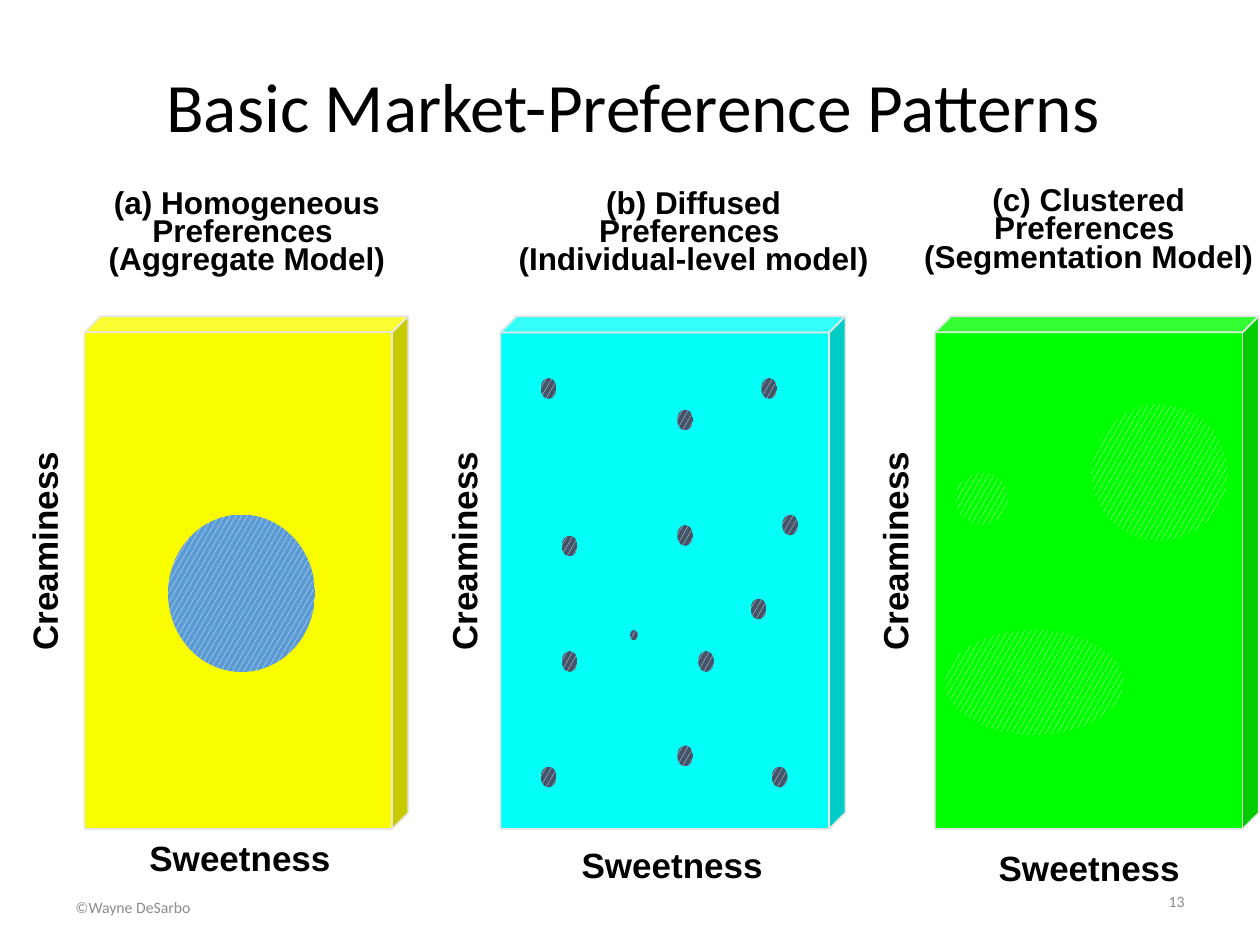
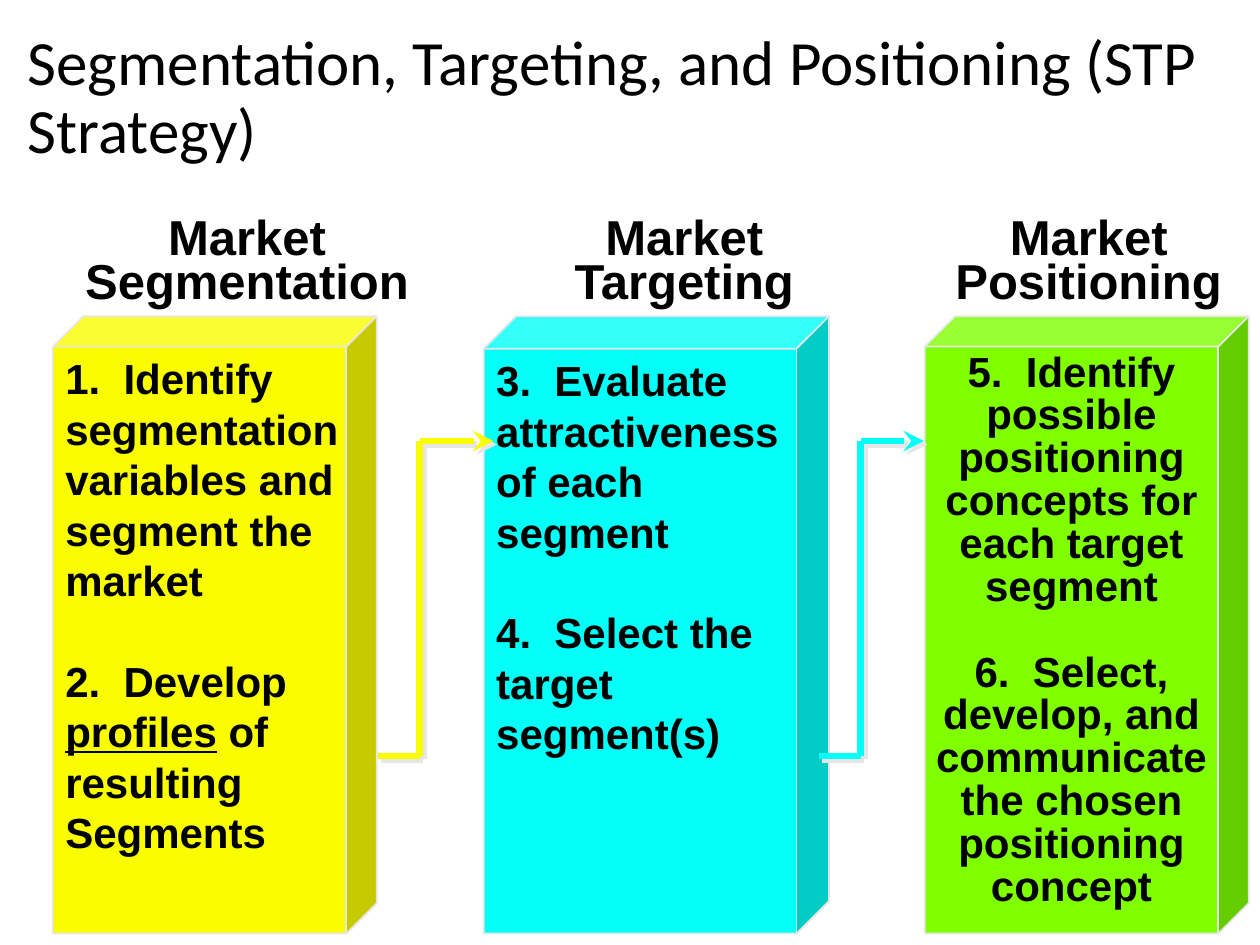
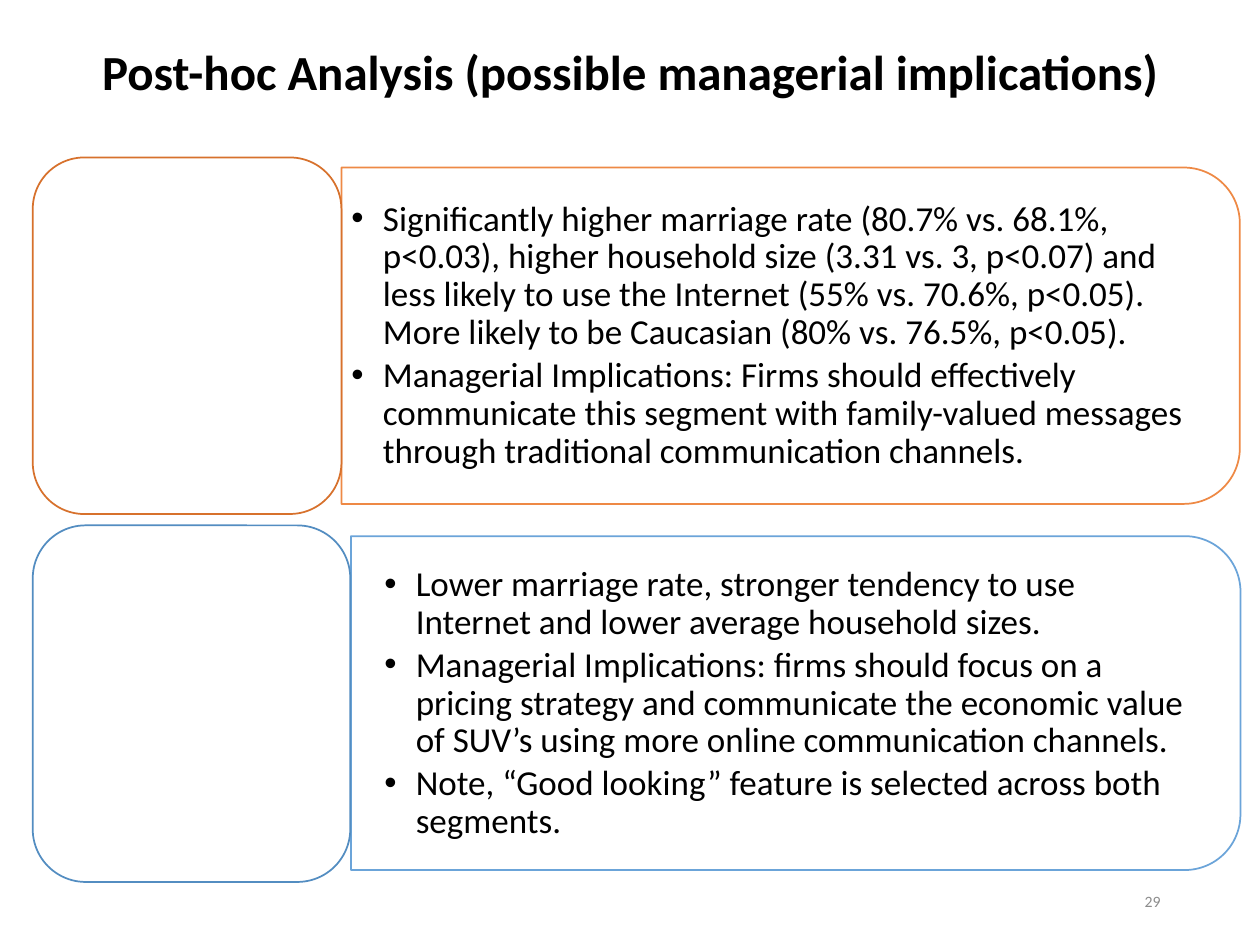
from dataclasses import dataclass

from lxml.etree import SubElement
from pptx import Presentation
from pptx.dml.color import RGBColor as RGB
from pptx.enum.dml import MSO_PATTERN as Pattern
from pptx.enum.shapes import MSO_CONNECTOR as Connector, MSO_SHAPE as Shape
from pptx.enum.text import MSO_ANCHOR as Anchor, MSO_AUTO_SIZE as AutoSize, PP_ALIGN as Align
from pptx.oxml.ns import qn
from pptx.util import Pt


@dataclass(frozen=True)
class Theme:
    black: str = "000000"
    white: str = "FFFFFF"
    grey: str = "8C8C8C"
    edge: str = "E7E6E6"
    yellow: str = "FAFD00"
    cyan: str = "03FFF8"
    green: str = "00FF00"
    lime: str = "7FFF00"
    blue: str = "5B9BD5"
    slate: str = "44546A"
    orange: str = "ED7D31"
    dark_orange: str = "D7712C"
    dark_blue: str = "538DC1"
    heading_font: str = "Calibri"
    label_font: str = "Arial"
    footer_size: float = 9
    caption_size: float = 18
    axis_size: float = 20
    body_size: float = 20
    step_size: float = 24
    header_size: float = 28


theme = Theme()


def write(box, lines, size, font=theme.label_font, bold=True, color=theme.black,
          align=Align.CENTER, spacing=1.0, anchor=Anchor.TOP, wrap=False):
    """Write one paragraph per line; a line given as a tuple holds several runs."""
    frame = box.text_frame
    frame.word_wrap = wrap
    frame.vertical_anchor = anchor
    for number, line in enumerate(lines):
        para = frame.add_paragraph() if number else frame.paragraphs[0]
        para.alignment = align
        para.line_spacing = spacing
        for words in line if isinstance(line, tuple) else (line,):
            span = para.add_run()
            span.text = words
            span.font.name = font
            span.font.size = Pt(size)
            span.font.bold = bold
            span.font.color.rgb = RGB.from_string(color)
    return frame


def draw(page, kind, place, fill, line=None, pattern=False):
    """Add a preset shape with a plain or a confetti fill."""
    shape = page.shapes.add_shape(kind, *map(Pt, place))
    shape.shadow.inherit = False
    if pattern:
        shape.fill.patterned()
        shape.fill.pattern = Pattern.LARGE_CONFETTI
        shape.fill.fore_color.rgb = RGB.from_string(theme.white)
        shape.fill.back_color.rgb = RGB.from_string(fill)
    else:
        shape.fill.solid()
        shape.fill.fore_color.rgb = RGB.from_string(fill)
    if line:
        shape.line.color.rgb = RGB.from_string(line)
        shape.line.width = Pt(1)
    else:
        shape.line.fill.background()
    return shape


deck = Presentation()
deck.slide_width, deck.slide_height = Pt(720), Pt(540)

# Pages with their titles: text, place, size, bold, alignment
titles = [
    ("Basic Market-Preference Patterns", (10.8, 36, 702, 54), 39.6, False, Align.CENTER),
    ("Segmentation, Targeting, and Positioning (STP Strategy)",
     (8.64, 3.6, 702, 105.84), 36, False, Align.LEFT),
    ("Post-hoc Analysis (possible managerial implications)",
     (0, 5.76, 720, 74.16), 28, True, Align.CENTER),
]
pages = []
for text, place, size, bold, align in titles:
    page = deck.slides.add_slide(deck.slide_layouts[5])
    title = page.shapes.title
    title.left, title.top, title.width, title.height = map(Pt, place)
    title.text_frame.auto_size = AutoSize.NONE
    write(title, [text], size, theme.heading_font, bold, align=align, spacing=0.9,
          anchor=Anchor.MIDDLE, wrap=True)
    pages.append(page)
patterns, strategy, analysis = pages
analysis.shapes.title.fill.solid()
analysis.shapes.title.fill.fore_color.rgb = RGB.from_string(theme.white)

# Footers
for page, text, place, align in [
    (patterns, "©Wayne DeSarbo", (36, 504, 168, 28.8), Align.LEFT),
    (patterns, "13", (624, 500.4, 60, 28.8), Align.RIGHT),
    (analysis, "29", (508.32, 500.4, 162, 28.8), Align.RIGHT),
]:
    write(page.shapes.add_textbox(*map(Pt, place)), [text], theme.footer_size,
          theme.heading_font, False, theme.grey, align, anchor=Anchor.MIDDLE, wrap=True)

# Preference patterns: cube left, width, depth and colour, then caption and axis labels
markets = [
    (48.24, 185.04, 0.05, theme.yellow,
     ["(a) Homogeneous", "Preferences ", "(Aggregate Model)"],
     (54, 105.84, 174.24), -36.72, (77.76, 480.24)),
    (285.84, 197.28, 0.047, theme.cyan,
     ["(b) Diffused", "Preferences ", "(Individual-level model)"],
     (288, 105.84, 216.72), 203.04, (324.72, 483.84)),
    (534.24, 185.04, 0.05, theme.green,
     ["(c) Clustered", "Preferences ", "(Segmentation Model)"],
     (519.84, 104.4, 204.48), 449.28, (563.04, 486)),
]
for left, width, depth, color, caption, caption_place, creamy_left, sweet_place in markets:
    cube = draw(patterns, Shape.CUBE, (left, 180.72, width, 293.04), color, theme.edge)
    cube.adjustments[0] = depth
    for lines, size, place, turn in [
        (caption, theme.caption_size, (*caption_place, 56.16), 0),
        (["Creaminess"], theme.axis_size, (creamy_left, 302.4, 128.88, 25.2), 270),
        (["Sweetness"], theme.axis_size, (*sweet_place, 118.8, 25.2), 0),
    ]:
        label = patterns.shapes.add_textbox(*map(Pt, place))
        label.rotation = turn
        write(label, lines, size, spacing=0.75).auto_size = AutoSize.SHAPE_TO_FIT_TEXT

# Consumer groups, then single consumers
groups = [
    ((96, 294, 84, 90), theme.blue),
    ((540, 360, 102, 60), theme.green),
    ((546, 270, 30, 30), theme.green),
    ((623.5, 231, 78, 78), theme.green),
    ((360, 360, 4.5, 6), theme.slate),
]
consumers = [
    (321, 372), (321, 306), (309, 438), (399, 372), (309, 216), (387, 300),
    (429, 342), (441, 438), (435, 216), (447, 294), (387, 234), (387, 426),
]
groups += [((left, top, 9, 12), theme.slate) for left, top in consumers]
for place, color in groups:
    draw(patterns, Shape.OVAL, place, color, pattern=True)

# Strategy steps: header, cube and the two points on it
stages = [
    (["Market", "Segmentation"], (41.04, 200.16), (30.24, 185.04), theme.yellow,
     Align.LEFT, 1.0,
     ["1.  Identify", "segmentation", "variables and", "segment the", "market"],
     ["2.  Develop", ("profiles", " of"), "resulting", "Segments"]),
    (["Market", "Targeting"], (319.68, 142.56), (276.48, 197.28), theme.cyan,
     Align.LEFT, 1.0,
     ["3.  Evaluate", "attractiveness", "of each", "segment"],
     ["4.  Select the", "target", "segment(s)"]),
    (["Market", "Positioning"], (538.56, 167.04), (528.48, 185.04), theme.lime,
     Align.CENTER, 0.85,
     ["5.  Identify", "possible", "positioning", "concepts for", "each target", "segment"],
     ["6.  Select,", "develop, and", "communicate", "the chosen", "positioning", "concept"]),
]
for header, (head_left, head_width), (left, width), color, align, spacing, first, second in stages:
    cube = draw(strategy, Shape.CUBE, (left, 180.72, width, 352.8), color, theme.edge)
    cube.adjustments[0] = 0.094
    frame = write(cube, first + second, theme.step_size, align=align, spacing=spacing)
    frame.paragraphs[len(first)].space_before = Pt(28.8 * spacing)
    for para in frame.paragraphs:
        for span in para.runs:
            span.font.underline = True if span.text == "profiles" else None
    box = strategy.shapes.add_textbox(Pt(head_left), Pt(122.4), Pt(head_width), Pt(57.6))
    write(box, header, theme.header_size, spacing=0.75).auto_size = AutoSize.SHAPE_TO_FIT_TEXT

# Stepped arrows between the cubes
low, high = 432, 252
for start, bend, end, color in [(216, 240, 282, theme.yellow), (468, 492, 528, theme.cyan)]:
    corners = [(start, low), (bend, low), (bend, high), (end, high)]
    for begin, finish in zip(corners, corners[1:]):
        link = strategy.shapes.add_connector(Connector.STRAIGHT, *map(Pt, begin + finish))
        link.line.color.rgb = RGB.from_string(color)
        link.line.width = Pt(4)
        if finish == corners[-1]:
            SubElement(link.line._get_or_add_ln(), qn("a:tailEnd"), type="stealth")
        effects = SubElement(link.element.spPr, qn("a:effectLst"))
        shadow = SubElement(effects, qn("a:outerShdw"), blurRad="0", dist=str(Pt(2.8)),
                            dir="2700000", algn="ctr", rotWithShape="0")
        SubElement(shadow, qn("a:srgbClr"), val=theme.edge)

# Segment findings: tab, panel and bulleted text
findings = [
    ((18.72, 90, 176.4, 203.76), theme.dark_orange,
     (355.68, -64.8, 192.24, 513.36), theme.orange,
     (195.12, 105.12, 504, 173.52), (5.76, 2.88),
     ["Significantly higher marriage rate (80.7% vs. 68.1%, p<0.03), higher household size "
      "(3.31 vs. 3, p<0.07) and less likely to use the Internet (55% vs. 70.6%, p<0.05). "
      "More likely to be Caucasian (80% vs. 76.5%, p<0.05).",
      "Managerial Implications: Firms should effectively communicate this segment with "
      "family-valued messages through traditional communication channels."]),
    ((18.72, 300.24, 181.44, 203.76), theme.dark_blue,
     (359.28, 147.6, 190.8, 508.32), theme.blue,
     (200.16, 316.08, 498.96, 172.08), (19.44, 10.08),
     ["Lower marriage rate, stronger tendency to use Internet and lower average household "
      "sizes.",
      "Managerial Implications: firms should focus on a pricing strategy and communicate the "
      "economic value of SUV’s using more online communication channels.",
      "Note, “Good looking” feature is selected across both segments."]),
]
for tab_place, tab_line, panel_place, panel_line, text_place, (side, edge), points in findings:
    panel = draw(analysis, Shape.ROUND_2_SAME_RECTANGLE, panel_place, theme.white, panel_line)
    panel.rotation = 90
    for tint in panel.element.spPr.iter(qn("a:srgbClr")):
        SubElement(tint, qn("a:alpha"), val="90000")
    box = analysis.shapes.add_textbox(*map(Pt, text_place))
    frame = write(box, points, theme.body_size, theme.heading_font, False, align=Align.LEFT,
                  spacing=0.9, anchor=Anchor.MIDDLE, wrap=True)
    frame.margin_left = frame.margin_right = Pt(side)
    frame.margin_top = frame.margin_bottom = Pt(edge)
    for para in frame.paragraphs:
        para.space_after = Pt(3)
        settings = para._p.get_or_add_pPr()
        settings.set("marL", str(Pt(18)))
        settings.set("indent", str(-Pt(18)))
        SubElement(settings, qn("a:buFont"), typeface=theme.label_font)
        SubElement(settings, qn("a:buChar"), char="•")
    draw(analysis, Shape.ROUNDED_RECTANGLE, tab_place, theme.white, tab_line)

deck.save("out.pptx")
